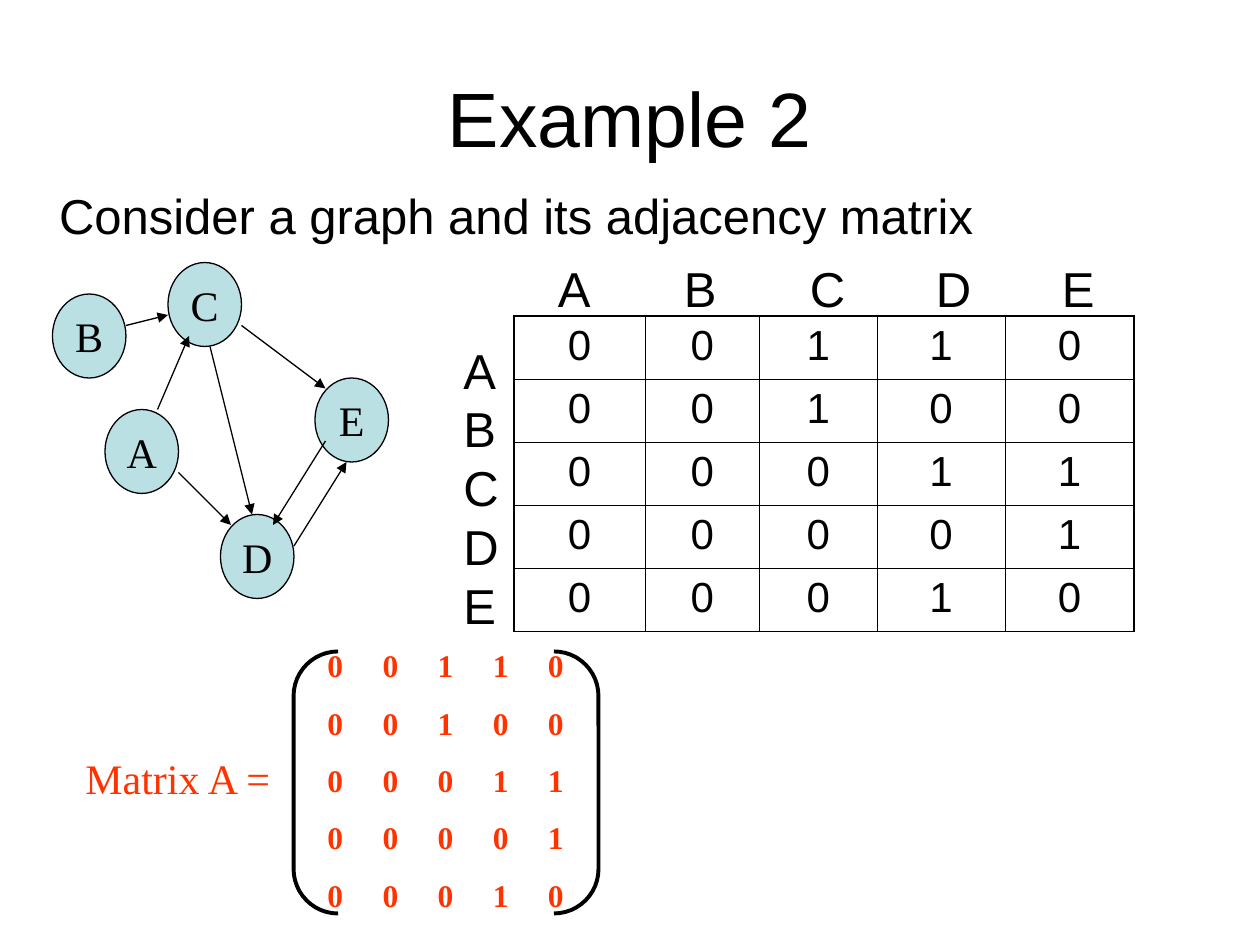
import pptx
import pptx.dml.color
import pptx.enum.shapes
import pptx.enum.text
import pptx.oxml
import pptx.oxml.ns
import pptx.util

Inches, Pt = pptx.util.Inches, pptx.util.Pt
RGBColor = pptx.dml.color.RGBColor
MSO_SHAPE = pptx.enum.shapes.MSO_SHAPE
ALIGN = pptx.enum.text.PP_ALIGN
ANCHOR = pptx.enum.text.MSO_ANCHOR

BLACK = RGBColor(0x00, 0x00, 0x00)
RED = RGBColor(0xFF, 0x33, 0x00)
NODE_FILL = RGBColor(0xBB, 0xE0, 0xE3)
SANS, SERIF = "Arial", "Times New Roman"

LABELS = "ABCDE"
MATRIX = ["00110", "00100", "00011", "00001", "00010"]

# The graph lies on a grid of twelfths of an inch
UNIT = Inches(1) // 12
NODE_W, NODE_H = 7, 8
NODES = {"A": (10, 39), "B": (5, 28), "C": (16, 25), "D": (21, 49), "E": (30, 36)}
EDGES = {
    "BC": ((12, 31), (16, 30)),
    "AD": ((17, 45), (22, 50)),
    "CE": ((23, 31), (31, 37)),
    "DE": ((28, 52), (33, 44)),
    "CD": ((20, 33), (24, 49)),
    "AC": ((15, 39), (18, 32)),
    "ED": ((31, 42), (26, 50)),
}

TABLE_LEFT, TABLE_TOP, ROW_H = 4.08, 2.51, 0.5
COL_WIDTHS = [1.04, 0.91, 0.93, 1.02, 1.02]
OUTER, INNER = 1.08, 0.45

A_NS = pptx.oxml.ns.nsdecls("a")


def write(tf, lines, size, font, color=BLACK, bold=False, align=ALIGN.LEFT,
          gap=0, leading=1.2, tab=None):
    """Fill a frame; gap is the space between paragraphs, tab the tab pitch in points."""
    for i, line in enumerate(lines):
        p = tf.add_paragraph() if i else tf.paragraphs[0]
        if tab:
            stops = "".join(f'<a:tab pos="{Pt(tab * n)}" algn="l"/>' for n in range(1, 5))
            p._p.get_or_add_pPr().append(
                pptx.oxml.parse_xml(f"<a:tabLst {A_NS}>{stops}</a:tabLst>"))
        p.alignment = align
        if leading:
            p.line_spacing = Pt(size * leading)
        if i and gap:
            p.space_before = Pt(gap)
        r = p.add_run()
        r.text = line
        style = {"size": Pt(size), "name": font, "bold": bold}
        for key, value in style.items():
            setattr(r.font, key, value)
        r.font.color.rgb = color


def add_text(slide, box, lines, size, font, anchor=ANCHOR.TOP, wrap=True, **style):
    tf = slide.shapes.add_textbox(*map(Inches, box)).text_frame
    tf.word_wrap = wrap
    tf.vertical_anchor = anchor
    write(tf, lines, size, font, **style)


def add_node(slide, label, x, y):
    s = slide.shapes.add_shape(MSO_SHAPE.OVAL, x * UNIT, y * UNIT,
                               NODE_W * UNIT, NODE_H * UNIT)
    s.shadow.inherit = False
    s.fill.solid()
    s.fill.fore_color.rgb = NODE_FILL
    s.line.color.rgb = BLACK
    s.line.width = Pt(0.75)
    tf = s.text_frame
    tf.word_wrap = False
    tf.vertical_anchor = ANCHOR.MIDDLE
    write(tf, [label], 24, SERIF, align=ALIGN.CENTER)


def add_arrow(slide, start, end):
    c = slide.shapes.add_connector(pptx.enum.shapes.MSO_CONNECTOR.STRAIGHT,
                                   *(v * UNIT for v in start + end))
    c.line.color.rgb = BLACK
    c.line.width = Pt(0.75)
    c.line._get_or_add_ln().append(
        pptx.oxml.parse_xml(f'<a:tailEnd {A_NS} type="triangle"/>'))
    c._element.spPr.append(pptx.oxml.parse_xml(f"<a:effectLst {A_NS}/>"))


def set_borders(cell, widths):
    for side, width in widths.items():
        cell._tc.get_or_add_tcPr().append(pptx.oxml.parse_xml(
            f'<a:ln{side} {A_NS} w="{Pt(width)}"><a:solidFill>'
            f'<a:srgbClr val="{BLACK}"/></a:solidFill></a:ln{side}>'))


def add_adjacency_table(slide):
    n = len(MATRIX)
    table = slide.shapes.add_table(
        n, n, Inches(TABLE_LEFT), Inches(TABLE_TOP),
        Inches(sum(COL_WIDTHS)), Inches(ROW_H * n)).table
    table.first_row = table.horz_banding = False
    for col, width in zip(table.columns, COL_WIDTHS):
        col.width = Inches(width)
    for i, row in enumerate(MATRIX):
        for j, value in enumerate(row):
            cell = table.cell(i, j)
            on_edge = {"L": j == 0, "R": j == n - 1, "T": i == 0, "B": i == n - 1}
            set_borders(cell, {k: OUTER if v else INNER for k, v in on_edge.items()})
            cell.fill.background()
            write(cell.text_frame, [value], 24, SANS, align=ALIGN.CENTER, leading=None)


def add_brackets(slide):
    s = slide.shapes.add_shape(MSO_SHAPE.DOUBLE_BRACKET,
                               *map(Inches, (2.33, 5.17, 2.42, 2.08)))
    s.adjustments[0] = 0.17
    s.shadow.inherit = False
    s.fill.background()
    s.line.color.rgb = BLACK
    s.line.width = Pt(2.25)


def main():
    prs = pptx.Presentation()
    prs.slide_width, prs.slide_height = Inches(10), Inches(7.5)
    slide = prs.slides.add_slide(prs.slide_layouts[6])

    add_text(slide, (0.5, 0.3, 9, 1.25), ["Example 2"], 44, SANS,
             anchor=ANCHOR.MIDDLE, align=ALIGN.CENTER, leading=None)
    add_text(slide, (0.37, 1.42, 7.45, 0.57),
             ["Consider a graph and its adjacency matrix"], 28, SANS, wrap=False)

    add_adjacency_table(slide)
    add_text(slide, (4.33, 2, 4.83, 0.57), ["\t".join(LABELS)], 28, SANS, tab=72)
    add_text(slide, (3.58, 2.65, 0.58, 2.44), LABELS, 28, SANS)

    add_text(slide, (0.58, 5.92, 1.83, 0.5), ["Matrix A ="], 24, SERIF, color=RED)
    add_brackets(slide)
    add_text(slide, (2.5, 5.08, 2.08, 2.23), ["\t".join(row) for row in MATRIX],
             18, SERIF, wrap=False, color=RED, bold=True, gap=11.2, tab=31.5)

    for label, (x, y) in NODES.items():
        add_node(slide, label, x, y)
    for start, end in EDGES.values():
        add_arrow(slide, start, end)

    prs.save("out.pptx")


if __name__ == "__main__":
    main()
